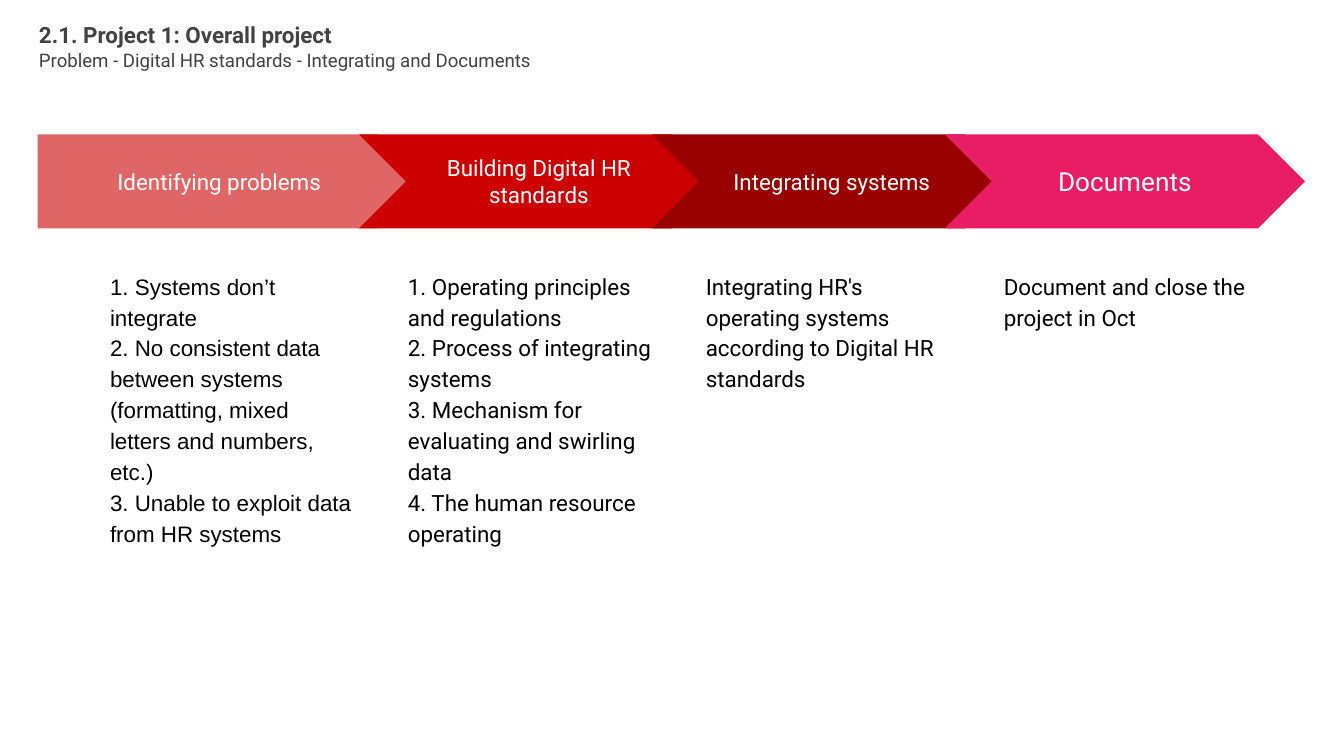
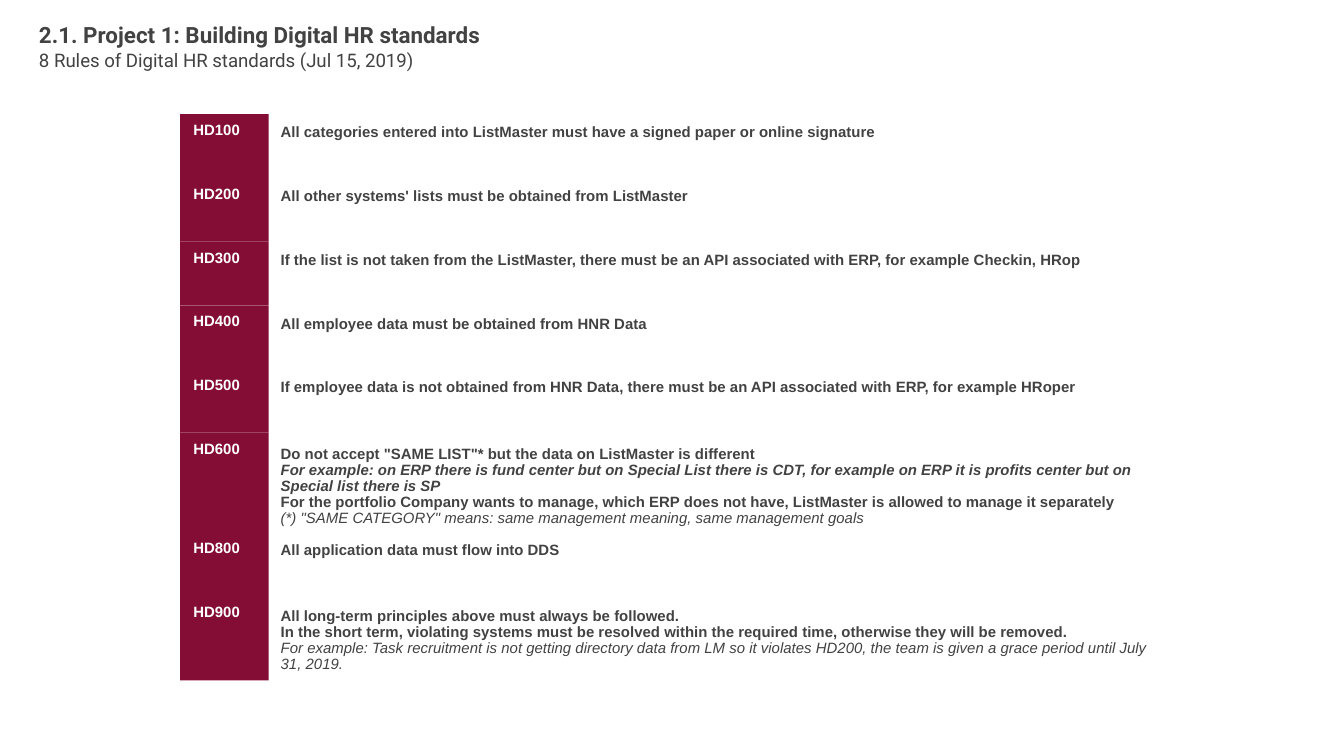
import pptx
import pptx.util
import pptx.dml.color
import pptx.enum.shapes
import pptx.enum.text

Inches = pptx.util.Inches
SHAPES = pptx.enum.shapes.MSO_SHAPE
ANCHOR = pptx.enum.text.MSO_ANCHOR
ALIGN = pptx.enum.text.PP_ALIGN

SLIDE_WIDTH = 10
SLIDE_HEIGHT = SLIDE_WIDTH * 9 / 16

COLORS = {
    "background": "FFFFFF",
    "heading": "424242",
    "body": "000000",
    "light": "FFFFFF",
    "problems": "E06666",
    "standards": "CC0000",
    "integration": "990000",
    "documents": "E91D63",
    "rule": "840D35",
}

STAGES = [
    ("Identifying problems", "problems", 12, "Arial", [
        "1. Systems don’t integrate",
        "2. No consistent data between systems (formatting, mixed letters and numbers, etc.)",
        "3. Unable to exploit data from HR systems",
    ]),
    ("Building Digital HR standards", "standards", 12, "Roboto", [
        "1. Operating principles and regulations",
        "2. Process of integrating systems",
        "3. Mechanism for evaluating and swirling data",
        "4. The human resource operating",
    ]),
    ("Integrating systems", "integration", 12, "Roboto", [
        "Integrating HR's operating systems according to Digital HR standards",
    ]),
    ("Documents", "documents", 14, "Roboto", [
        "Document and close the project in Oct",
    ]),
]

STAGE_TOP, STAGE_HEIGHT = 1, 0.7
FIRST_STAGE_LEFT, FIRST_STAGE_WIDTH = 0.28, 2.88
CHEVRON_LEFT, CHEVRON_WIDTH, CHEVRON_STEP = 2.67, 2.68, 2.18
DETAIL_LEFT, DETAIL_STEP = 0.72, 6.65 / 3

ROW_HEIGHT = 2.37 / 5
RULE_HEIGHT = 0.41
RULES = [
    ("HD100", ROW_HEIGHT, RULE_HEIGHT, [
        ("All categories entered into ListMaster must have a signed paper or online signature", True, False),
    ]),
    ("HD200", ROW_HEIGHT, RULE_HEIGHT, [
        ("All other systems' lists must be obtained from ListMaster", True, False),
    ]),
    ("HD300", ROW_HEIGHT, RULE_HEIGHT, [
        ("If the list is not taken from the ListMaster, there must be an API associated with ERP, "
         "for example Checkin, HRop", True, False),
    ]),
    ("HD400", ROW_HEIGHT, RULE_HEIGHT, [
        ("All employee data must be obtained from HNR Data", True, False),
    ]),
    ("HD500", ROW_HEIGHT, RULE_HEIGHT, [
        ("If employee data is not obtained from HNR Data, there must be an API associated with ERP, "
         "for example HRoper", True, False),
    ]),
    ("HD600", 0.74, 0.63, [
        ('Do not accept "SAME LIST"* but the data on ListMaster is different', True, False),
        ("For example: on ERP there is fund center but on Special List there is CDT, "
         "for example on ERP it is profits center but on Special list there is SP", True, True),
        ("For the portfolio Company wants to manage, which ERP does not have, "
         "ListMaster is allowed to manage it separately", True, False),
        ('(*) "SAME CATEGORY" means: same management meaning, same management goals', False, True),
    ]),
    ("HD800", ROW_HEIGHT, RULE_HEIGHT, [
        ("All application data must flow into DDS", True, False),
    ]),
    ("HD900", 0.63, 0.54, [
        ("All long-term principles above must always be followed.", True, False),
        ("In the short term, violating systems must be resolved within the required time, "
         "otherwise they will be removed.", True, False),
        ("For example: Task recruitment is not getting directory data from LM so it violates HD200, "
         "the team is given a grace period until July 31, 2019.", False, True),
    ]),
]


def rgb(name):
    return pptx.dml.color.RGBColor.from_string(COLORS[name])


def prepare_frame(shape, vertical_inset=0.1, anchor=ANCHOR.TOP):
    frame = shape.text_frame
    frame.word_wrap = True
    frame.auto_size = pptx.enum.text.MSO_AUTO_SIZE.NONE
    frame.vertical_anchor = anchor
    frame.margin_left = frame.margin_right = Inches(0.1)
    frame.margin_top = frame.margin_bottom = Inches(vertical_inset)
    return frame


def write_paragraph(frame, index, text, size, font, color, bold=False, italic=False,
                    align=ALIGN.LEFT, spacing=1.0):
    paragraph = frame.paragraphs[0] if index == 0 else frame.add_paragraph()
    paragraph.alignment = align
    paragraph.line_spacing = spacing
    paragraph.space_before = paragraph.space_after = pptx.util.Pt(0)
    run = paragraph.add_run()
    run.text = text
    run.font.size = pptx.util.Pt(size)
    run.font.name = font
    run.font.bold = bold
    run.font.italic = italic
    run.font.color.rgb = rgb(color)


def add_titled_slide(presentation, title, subtitle):
    slide = presentation.slides.add_slide(presentation.slide_layouts[5])
    slide.background.fill.solid()
    slide.background.fill.fore_color.rgb = rgb("background")
    placeholder = slide.shapes.title
    placeholder.left, placeholder.top = Inches(0.19), Inches(0.06)
    placeholder.width, placeholder.height = Inches(8.86), Inches(0.57)
    frame = prepare_frame(placeholder)
    write_paragraph(frame, 0, title, 12, "Roboto", "heading", bold=True)
    write_paragraph(frame, 1, subtitle, 10, "Roboto", "heading")
    return slide


def add_filled_shape(slide, kind, left, top, width, height, color):
    shape = slide.shapes.add_shape(kind, Inches(left), Inches(top), Inches(width), Inches(height))
    shape.shadow.inherit = False
    shape.fill.solid()
    shape.fill.fore_color.rgb = rgb(color)
    shape.line.fill.background()
    return shape


def add_text_box(slide, left, top, width, height, vertical_inset=0.1):
    box = slide.shapes.add_textbox(Inches(left), Inches(top), Inches(width), Inches(height))
    return prepare_frame(box, vertical_inset)


def add_stage(slide, index, name, color, size, font, details):
    if index == 0:
        kind, left, width = SHAPES.PENTAGON, FIRST_STAGE_LEFT, FIRST_STAGE_WIDTH
    else:
        kind, width = SHAPES.CHEVRON, CHEVRON_WIDTH
        left = CHEVRON_LEFT + (index - 1) * CHEVRON_STEP
    arrow = add_filled_shape(slide, kind, left, STAGE_TOP, width, STAGE_HEIGHT, color)
    frame = prepare_frame(arrow, anchor=ANCHOR.MIDDLE)
    write_paragraph(frame, 0, name, size, "Roboto", "light", align=ALIGN.CENTER)
    frame = add_text_box(slide, DETAIL_LEFT + index * DETAIL_STEP, 1.9, 2.01, 2.72)
    for position, detail in enumerate(details):
        write_paragraph(frame, position, detail, 12, font, "body", spacing=1.15)


def add_rule(slide, top, code, row_height, text_height, lines):
    label = add_filled_shape(slide, SHAPES.RECTANGLE, 1.34, top, 0.66, row_height, "rule")
    write_paragraph(prepare_frame(label, 0.05), 0, code, 8, "Arial", "light", bold=True)
    text_top = top + (row_height - text_height) / 2
    frame = add_text_box(slide, 1.99, text_top, 6.67, text_height, 0.05)
    for position, (text, bold, italic) in enumerate(lines):
        write_paragraph(frame, position, text, 8, "Arial", "heading", bold, italic, spacing=0.9)


def build_overview(presentation):
    slide = add_titled_slide(presentation, "2.1. Project 1: Overall project",
                             "Problem - Digital HR standards - Integrating and Documents")
    for index, stage in enumerate(STAGES):
        add_stage(slide, index, *stage)


def build_rules(presentation):
    slide = add_titled_slide(presentation, "2.1. Project 1: Building Digital HR standards",
                             "8 Rules of Digital HR standards (Jul 15, 2019)")
    top = 0.85
    for code, row_height, text_height, lines in RULES:
        add_rule(slide, top, code, row_height, text_height, lines)
        top += row_height


def main():
    presentation = pptx.Presentation()
    presentation.slide_width = Inches(SLIDE_WIDTH)
    presentation.slide_height = Inches(SLIDE_HEIGHT)
    build_overview(presentation)
    build_rules(presentation)
    presentation.save("out.pptx")


if __name__ == "__main__":
    main()
